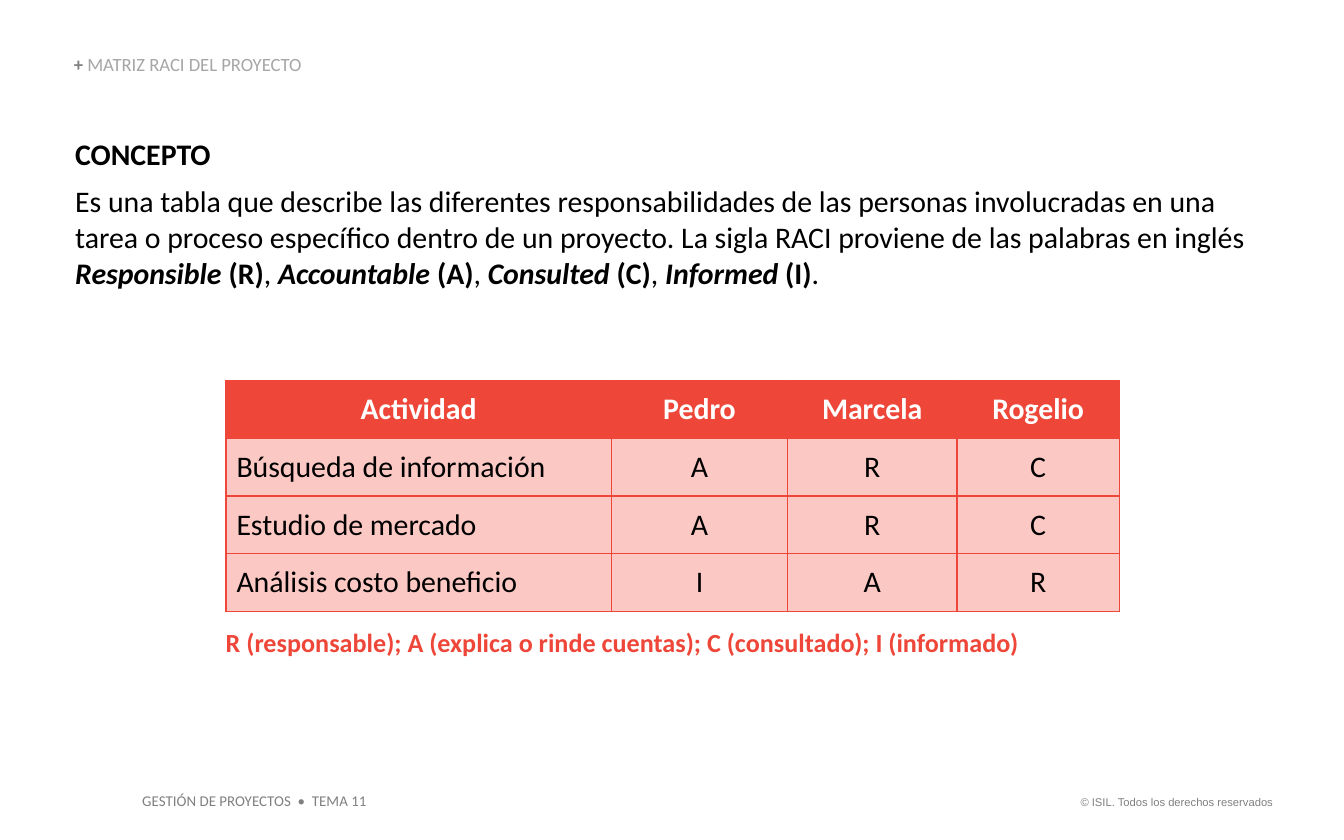
from lxml.etree import SubElement
from pptx import Presentation
from pptx.dml.color import RGBColor as RGB
from pptx.enum.text import MSO_ANCHOR as Anchor, MSO_AUTO_SIZE as AutoSize, PP_ALIGN as Align
from pptx.oxml.ns import qn
from pptx.util import Inches, Pt

COLORS = {"red": "EE4638", "pink": "FBC8C4", "black": "000000",
          "white": "FFFFFF", "gray": "808080", "silver": "A6A6A6"}
WIDTH, HEIGHT = Inches(10), Inches(6.25)
COLUMN_SHARES = [28.7, 13.1, 12.6, 12.1]
ROWS = [["Actividad", "Pedro", "Marcela", "Rogelio"],
        ["Búsqueda de información", "A", "R", "C"],
        ["Estudio de mercado", "A", "R", "C"],
        ["Análisis costo beneficio", "I", "A", "R"]]
INTRO = ("Es una tabla que describe las diferentes responsabilidades de las personas "
         "involucradas en una tarea o proceso específico dentro de un proyecto. "
         "La sigla RACI proviene de las palabras en inglés ")
ROLES = ["Responsible", "Accountable", "Consulted", "Informed"]


def across(share):
    return round(WIDTH * share / 100)


def down(share):
    return round(HEIGHT * share / 100)


def place(sp, x, y, w, h):
    sp.left, sp.top, sp.width, sp.height = across(x), down(y), across(w), down(h)


def style(item, size, color, bold=False, name="Calibri"):
    font = item.font
    font.name, font.size, font.bold = name, Pt(size), bold
    font.color.rgb = RGB.from_string(COLORS[color])


def add_run(p, text, bold=False, italic=False):
    r = p.add_run()
    r.text = text
    r.font.bold, r.font.italic = bold, italic
    return r


def clear_insets(tf):
    tf.margin_left = tf.margin_right = tf.margin_top = tf.margin_bottom = 0
    tf.word_wrap = True
    tf.auto_size = AutoSize.NONE


def plain_paragraph(p):
    pPr = p._p.get_or_add_pPr()
    pPr.set("marL", "0")
    pPr.set("indent", "0")
    SubElement(pPr, qn("a:buNone"))
    p.space_before = Pt(0)


def fill_title(sp):
    place(sp, 5.5, 6.56, 33.5, 2.4)
    tf = sp.text_frame
    clear_insets(tf)
    tf.vertical_anchor = Anchor.BOTTOM
    p = tf.paragraphs[0]
    p.alignment, p.line_spacing, p.space_before = Align.LEFT, 0.9, Pt(0)
    style(add_run(p, "+ "), 10, "gray", True)
    style(add_run(p, "MATRIZ RACI DEL PROYECTO"), 10, "silver")


def fill_concept(sp):
    place(sp, 5.6, 16.16, 89.3, 18.56)
    tf = sp.text_frame
    clear_insets(tf)
    heading, p = tf.paragraphs[0], tf.add_paragraph()
    for paragraph in (heading, p):
        plain_paragraph(paragraph)
        style(paragraph, 16, "black")
    heading.space_after = Pt(6)
    add_run(heading, "CONCEPTO", bold=True)
    add_run(p, INTRO)
    for role in ROLES:
        add_run(p, role, bold=True, italic=True)
        add_run(p, f" ({role[0]})", bold=True)
        add_run(p, "." if role == ROLES[-1] else ", ")


def add_label(s, text, box, size, color, bold=False, name="Calibri", align=Align.LEFT):
    sp = s.shapes.add_textbox(0, 0, 0, 0)
    place(sp, *box)
    tf = sp.text_frame
    tf.word_wrap = False
    p = tf.paragraphs[0]
    p.text, p.alignment = text, align
    style(p, size, color, bold, name)
    return tf


def add_borders(cell, color):
    tcPr = cell._tc.get_or_add_tcPr()
    for i, side in enumerate(("lnL", "lnR", "lnT", "lnB")):
        ln = tcPr.makeelement(qn(f"a:{side}"), {"w": str(Pt(1))})
        fill = SubElement(ln, qn("a:solidFill"))
        SubElement(fill, qn("a:srgbClr"), val=COLORS[color])
        tcPr.insert(i, ln)


def fill_cell(cell, text, header, align):
    cell.fill.solid()
    cell.fill.fore_color.rgb = RGB.from_string(COLORS["red" if header else "pink"])
    add_borders(cell, "red")
    cell.vertical_anchor = Anchor.MIDDLE
    cell.margin_left = cell.margin_right = Inches(0.08)
    cell.margin_top = cell.margin_bottom = Inches(0.04)
    p = cell.text_frame.paragraphs[0]
    p.text, p.alignment = text, align
    style(p, 16, "white" if header else "black", header)


def add_matrix(s):
    frame = s.shapes.add_table(len(ROWS), len(COLUMN_SHARES), across(16.8), down(45.28),
                               across(sum(COLUMN_SHARES)), down(27.52))
    table = frame.table
    for column, share in zip(table.columns, COLUMN_SHARES):
        column.width = across(share)
    for i, row in enumerate(ROWS):
        for j, text in enumerate(row):
            align = Align.LEFT if i and not j else Align.CENTER
            fill_cell(table.cell(i, j), text, i == 0, align)


def main():
    prs = Presentation()
    prs.slide_width, prs.slide_height = WIDTH, HEIGHT
    s = prs.slides.add_slide(prs.slide_layouts[1])
    fill_title(s.shapes.title)
    fill_concept(s.placeholders[1])
    add_matrix(s)
    legend = add_label(s, "R (responsable); A (explica o rinde cuentas); C (consultado); I (informado)",
                       (16.8, 74.56, 63.4, 3.84), 14, "red", bold=True)
    clear_insets(legend)
    add_label(s, "GESTIÓN DE PROYECTOS  •  TEMA 11", (9.6, 93.44, 18.7, 3.84), 8, "gray")
    add_label(s, "© ISIL. Todos los derechos reservados", (79.1, 93.92, 16.6, 3.2), 6, "gray",
              name="Arial", align=Align.RIGHT)
    prs.save("out.pptx")


if __name__ == "__main__":
    main()
